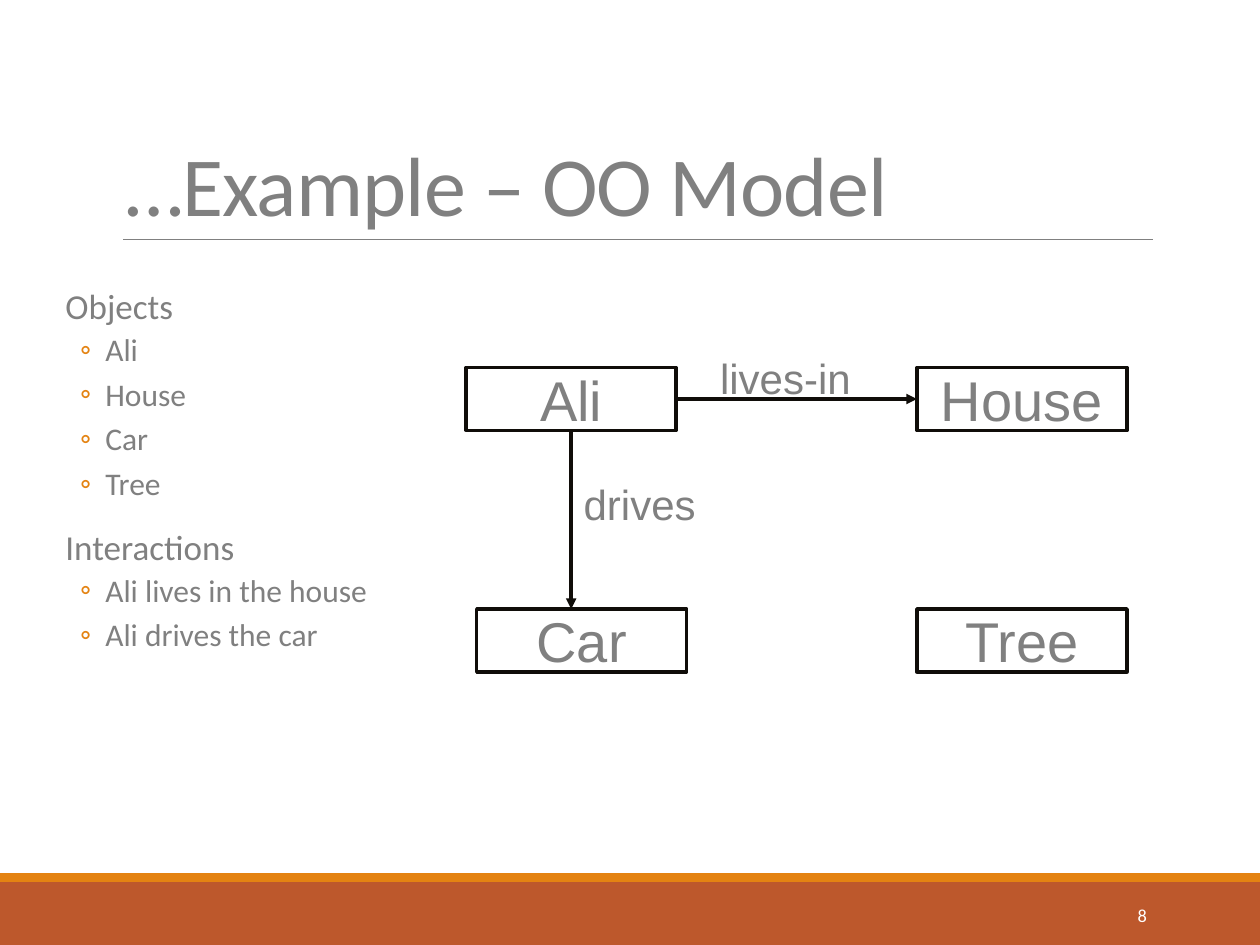
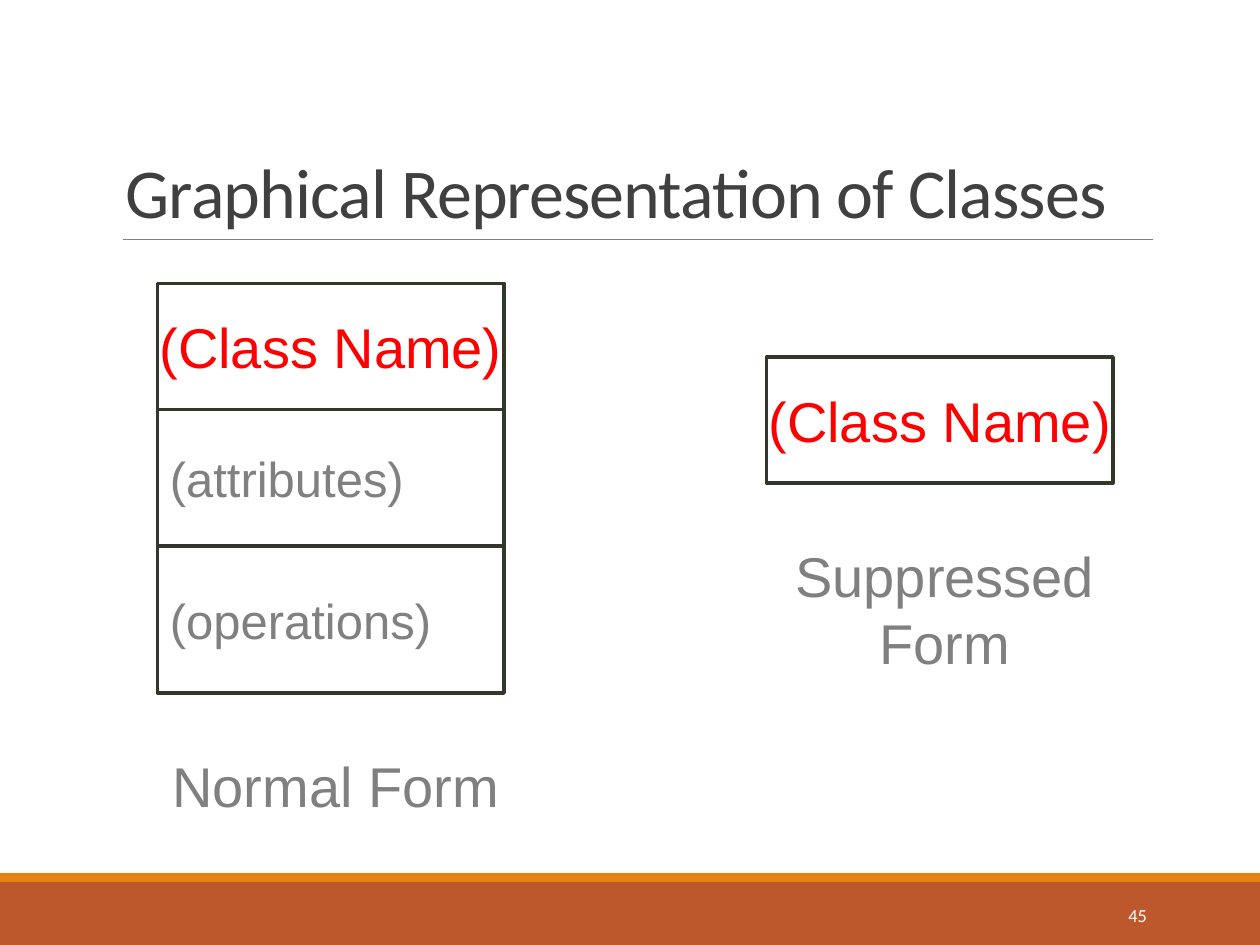
from dataclasses import dataclass

from lxml.etree import SubElement
from pptx import Presentation
from pptx.dml.color import RGBColor
from pptx.enum.shapes import MSO_CONNECTOR, MSO_SHAPE
from pptx.enum.text import MSO_ANCHOR, PP_ALIGN
from pptx.oxml.ns import qn
from pptx.shapes.autoshape import Shape
from pptx.shapes.connector import Connector
from pptx.slide import Slide
from pptx.text.text import TextFrame, _Paragraph
from pptx.util import Pt

RUST = RGBColor(0xBD, 0x58, 0x2C)
ORANGE = RGBColor(0xE4, 0x83, 0x12)
GRAY = RGBColor(0x80, 0x80, 0x80)
DARK = RGBColor(0x40, 0x40, 0x40)
WHITE = RGBColor(0xFF, 0xFF, 0xFF)
RED = RGBColor(0xFF, 0x00, 0x00)
INK = RGBColor(0x10, 0x0D, 0x09)
OLIVE = RGBColor(0x31, 0x38, 0x29)

HEADING_FONT = "Calibri"
DIAGRAM_FONT = "Arial"
SLIDE_W, SLIDE_H = 720, 540


@dataclass(frozen=True)
class Area:
    x: float
    y: float
    w: float
    h: float


@dataclass(frozen=True)
class Style:
    size: float
    color: RGBColor = GRAY
    font: str = DIAGRAM_FONT
    align: PP_ALIGN = PP_ALIGN.LEFT


@dataclass(frozen=True)
class Box:
    text: str
    area: Area
    style: Style


NODE = Style(32, align=PP_ALIGN.CENTER)
LABEL = Style(24)
CLASS_NAME = Style(32, RED, align=PP_ALIGN.CENTER)
MEMBER = Style(28)
NUMBER = Style(10.5, WHITE, HEADING_FONT, PP_ALIGN.RIGHT)
TOPIC = Style(20, font=HEADING_FONT)
ITEM = Style(18, font=HEADING_FONT)


def write(p: _Paragraph, text: str, style: Style) -> None:
    p.alignment = style.align
    r = p.add_run()
    r.text = text
    r.font.name = style.font
    r.font.size = Pt(style.size)
    r.font.color.rgb = style.color


def add_text(s: Slide, area: Area, anchor: MSO_ANCHOR = MSO_ANCHOR.TOP) -> TextFrame:
    tf = s.shapes.add_textbox(Pt(area.x), Pt(area.y), Pt(area.w), Pt(area.h)).text_frame
    tf.word_wrap = True
    tf.vertical_anchor = anchor
    return tf


def add_label(s: Slide, label: Box) -> None:
    write(add_text(s, label.area).paragraphs[0], label.text, label.style)


def add_rect(s: Slide, area: Area) -> Shape:
    sp = s.shapes.add_shape(MSO_SHAPE.RECTANGLE, Pt(area.x), Pt(area.y), Pt(area.w), Pt(area.h))
    sp.shadow.inherit = False
    return sp


def add_band(s: Slide, area: Area, color: RGBColor) -> None:
    sp = add_rect(s, area)
    sp.fill.solid()
    sp.fill.fore_color.rgb = color
    sp.line.fill.background()


def add_box(s: Slide, box: Box, line: RGBColor) -> Shape:
    sp = add_rect(s, box.area)
    sp.fill.background()
    sp.line.color.rgb = line
    sp.line.width = Pt(2)
    tf = sp.text_frame
    tf.word_wrap = False
    tf.vertical_anchor = MSO_ANCHOR.MIDDLE
    write(tf.paragraphs[0], box.text, box.style)
    return sp


def add_line(s: Slide, x1: float, y1: float, x2: float, y2: float,
             color: RGBColor, width: float) -> Connector:
    c = s.shapes.add_connector(MSO_CONNECTOR.STRAIGHT, Pt(x1), Pt(y1), Pt(x2), Pt(y2))
    c.line.color.rgb = color
    c.line.width = Pt(width)
    SubElement(c._element.spPr, qn("a:effectLst"))
    return c


def add_arrow(s: Slide, x1: float, y1: float, x2: float, y2: float) -> Connector:
    c = add_line(s, x1, y1, x2, y2, INK, 2)
    SubElement(c.line._get_or_add_ln(), qn("a:tailEnd"), type="triangle")
    return c


def add_outline(s: Slide, area: Area, topics: dict[str, list[str]]) -> None:
    tf = add_text(s, area)
    tf.margin_left = tf.margin_right = 0
    entries = [(text, level) for topic, items in topics.items()
               for text, level in [(topic, 0)] + [(item, 1) for item in items]]
    for i, (text, level) in enumerate(entries):
        p = tf.add_paragraph() if i else tf.paragraphs[0]
        p.level = level
        p.line_spacing = 0.9
        p.space_before = Pt(2 if level else 12)
        p.space_after = Pt(4 if level else 2)
        write(p, text, ITEM if level else TOPIC)
        pPr = p._p.get_or_add_pPr()
        pPr.set("marL", str(Pt(30 if level else 7.2)))
        pPr.set("indent", str(Pt(-14.4 if level else 0)))
        if level:
            bullet_color = SubElement(pPr, qn("a:buClr"))
            SubElement(bullet_color, qn("a:srgbClr"), val=str(ORANGE))
            SubElement(pPr, qn("a:buFont"), typeface=HEADING_FONT)
            SubElement(pPr, qn("a:buChar"), char="◦")


def add_base(prs: Presentation, title: str, size: float, color: RGBColor, number: int) -> Slide:
    s = prs.slides.add_slide(prs.slide_layouts[6])
    add_band(s, Area(0, 504, SLIDE_W, 36), RUST)
    add_band(s, Area(0, 499, SLIDE_W, 5), ORANGE)
    add_line(s, 70.5, 136.8, 658.8, 136.8, GRAY, 0.5)
    p = add_text(s, Area(64.8, 22.3, 594, 114.5), MSO_ANCHOR.BOTTOM).paragraphs[0]
    p.line_spacing = 0.85
    write(p, title, Style(size, color, HEADING_FONT))
    p.runs[0].font._element.set("spc", "-50")
    tf = add_text(s, Area(584.6, 508.3, 77.8, 28.8), MSO_ANCHOR.MIDDLE)
    write(tf.paragraphs[0], str(number), NUMBER)
    return s


def build_object_model(prs: Presentation) -> None:
    s = add_base(prs, "…Example – OO Model", 48, GRAY, 8)
    add_outline(s, Area(30.2, 162, 600, 342), {
        "Objects": ["Ali", "House", "Car", "Tree"],
        "Interactions": ["Ali lives in the house", "Ali drives the car"],
    })
    node_w, node_h = 120, 36
    top, bottom, right = 210, 348, 524
    places = {"Ali": (266.4, top), "Car": (272.4, bottom),
              "House": (right, top), "Tree": (right, bottom)}
    nodes = {name: add_box(s, Box(name, Area(x, y, node_w, node_h), NODE), INK)
             for name, (x, y) in places.items()}

    ali_x = places["Ali"][0]
    middle_x, middle_y = ali_x + node_w / 2, top + node_h / 2
    lives_in = add_arrow(s, ali_x + node_w, middle_y, right, middle_y)
    lives_in.begin_connect(nodes["Ali"], 3)
    lives_in.end_connect(nodes["House"], 1)
    drives = add_arrow(s, middle_x, top + node_h, middle_x, bottom)
    drives.begin_connect(nodes["Ali"], 2)

    add_label(s, Box("lives-in", Area(404.4, 198, 90, 36), LABEL))
    add_label(s, Box("drives", Area(326.4, 270, 90, 36), LABEL))


def build_class_forms(prs: Presentation) -> None:
    s = add_base(prs, "Graphical Representation of Classes", 40, DARK, 45)
    class_w, class_h = 198, 72
    y = 162
    for text, h, style in (("(Class Name)", class_h, CLASS_NAME),
                           ("(attributes)", 78, MEMBER),
                           ("(operations)", 84, MEMBER)):
        add_box(s, Box(text, Area(90, y, class_w, h), style), OLIVE)
        y += h
    add_box(s, Box("(Class Name)", Area(438, 204, class_w, class_h), CLASS_NAME), OLIVE)
    add_label(s, Box("Normal Form", Area(84, 426, 216, 45.5), NODE))
    add_label(s, Box("Suppressed Form", Area(432, 306, 216, 84), NODE))


def main() -> None:
    prs = Presentation()
    prs.slide_width, prs.slide_height = Pt(SLIDE_W), Pt(SLIDE_H)
    build_object_model(prs)
    build_class_forms(prs)
    prs.save("out.pptx")


if __name__ == "__main__":
    main()
